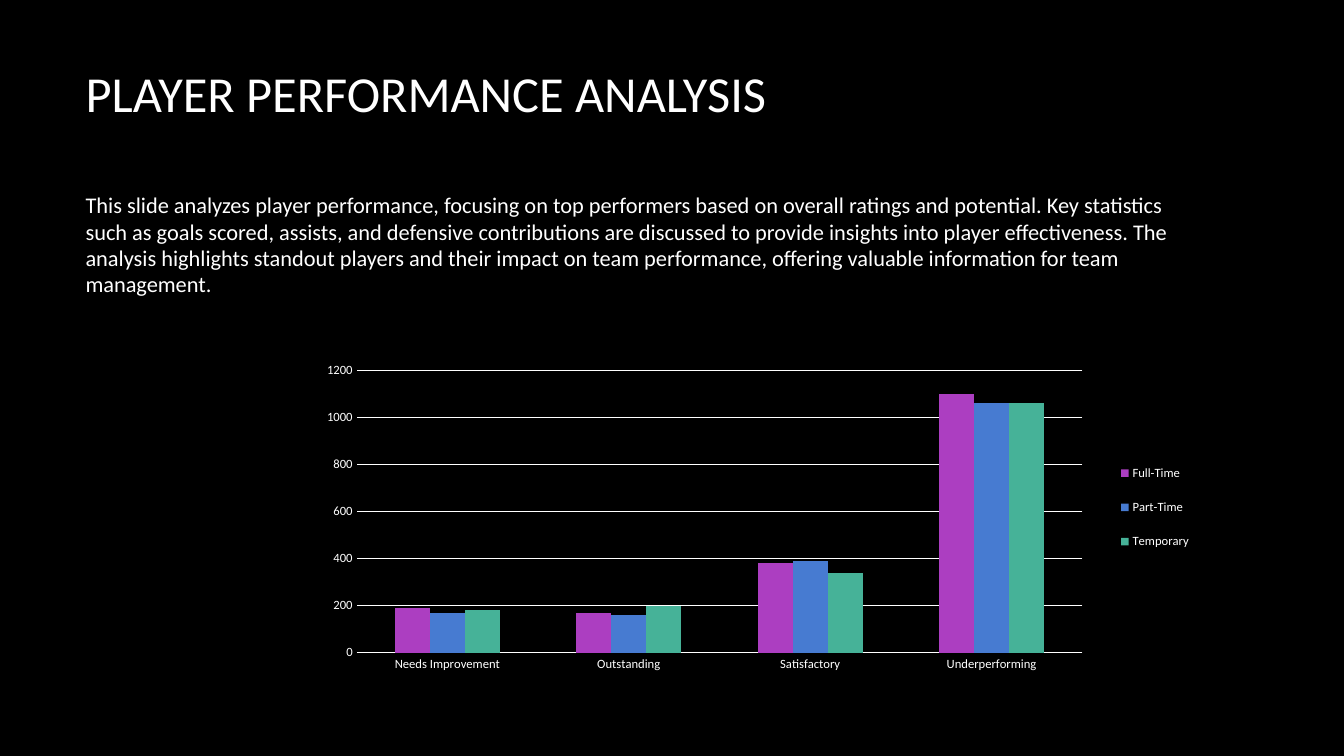
from dataclasses import dataclass

from lxml import etree
from pptx import Presentation
from pptx.chart.data import CategoryChartData
from pptx.dml.color import RGBColor
from pptx.enum.chart import XL_CHART_TYPE, XL_LEGEND_POSITION, XL_TICK_MARK
from pptx.enum.text import MSO_ANCHOR, PP_ALIGN
from pptx.oxml.ns import qn
from pptx.util import Inches, Pt

COLUMNS = XL_CHART_TYPE.COLUMN_CLUSTERED
LEGEND_RIGHT = XL_LEGEND_POSITION.RIGHT
NO_TICK = XL_TICK_MARK.NONE
MIDDLE = MSO_ANCHOR.MIDDLE
LEFT = PP_ALIGN.LEFT
TITLE_ONLY = 5


@dataclass(frozen=True)
class Theme:
    font: str = "Calibri"
    background: str = "000000"
    ink: str = "FFFFFF"
    series: tuple = ("AC3EC1", "477BD1", "46B298")
    title_size: float = 36
    body_size: float = 16
    chart_size: float = 9
    line_width: float = 0.75


THEME = Theme()
TITLE = "PLAYER PERFORMANCE ANALYSIS"
SUMMARY = (
    "This slide analyzes player performance, focusing on top performers based on "
    "overall ratings and potential. Key statistics such as goals scored, assists, "
    "and defensive contributions are discussed to provide insights into player "
    "effectiveness. The analysis highlights standout players and their impact on "
    "team performance, offering valuable information for team management."
)
RATINGS = ("Needs Improvement", "Outstanding", "Satisfactory", "Underperforming")
PLAYERS = {
    "Full-Time": (190, 170, 380, 1100),
    "Part-Time": (170, 160, 390, 1060),
    "Temporary": (180, 200, 340, 1060),
}


def inches(box):
    return [Inches(length) for length in box]


def style_font(font, size):
    font.name = THEME.font
    font.size = Pt(size)
    font.color.rgb = RGBColor.from_string(THEME.ink)


def style_line(line):
    line.width = Pt(THEME.line_width)
    line.color.rgb = RGBColor.from_string(THEME.ink)


def write_text(shape, text, size):
    frame = shape.text_frame
    frame.word_wrap = True
    frame.vertical_anchor = MIDDLE
    frame.text = text
    para = frame.paragraphs[0]
    para.alignment = LEFT
    style_font(para.runs[0].font, size)
    return para


def place_title(page, box):
    title = page.shapes.title
    title.left, title.top, title.width, title.height = inches(box)
    write_text(title, TITLE, THEME.title_size)


def place_summary(page, box):
    summary = page.shapes.add_textbox(*inches(box))
    para = write_text(summary, SUMMARY, THEME.body_size)
    para.line_spacing = 0.98
    para.space_after = Pt(10)


def manual_layout(shares, inner=False):
    layout = etree.Element(qn("c:layout"))
    manual = etree.SubElement(layout, qn("c:manualLayout"))
    settings = {"layoutTarget": "inner"} if inner else {}
    settings.update(xMode="edge", yMode="edge")
    settings.update(zip("xywh", shares))
    for name, value in settings.items():
        etree.SubElement(manual, qn(f"c:{name}")).set("val", str(value))
    return layout


def style_axes(chart):
    for axis in (chart.category_axis, chart.value_axis):
        axis.major_tick_mark = axis.minor_tick_mark = NO_TICK
        style_font(axis.tick_labels.font, THEME.chart_size)
    style_line(chart.category_axis.format.line)
    values = chart.value_axis
    values.minimum_scale, values.maximum_scale, values.major_unit = 0, 1200, 200
    values.format.line.fill.background()
    style_line(values.major_gridlines.format.line)


def place_legend(chart):
    chart.has_legend = True
    legend = chart.legend
    legend.position = LEGEND_RIGHT
    legend.include_in_layout = False
    style_font(legend.font, THEME.chart_size)
    element = chart.element.find(".//" + qn("c:legend"))
    for layout in element.findall(qn("c:layout")):
        element.remove(layout)
    element.find(qn("c:overlay")).addprevious(manual_layout((0.89, 0.34, 0.1, 0.3)))


def place_chart(page, box):
    chart_data = CategoryChartData()
    chart_data.categories = RATINGS
    for name, counts in PLAYERS.items():
        chart_data.add_series(name, counts)
    chart = page.shapes.add_chart(COLUMNS, *inches(box), chart_data).chart
    chart.has_title = False
    style_font(chart.font, THEME.chart_size)
    plot = chart.plots[0]
    plot.gap_width = 219
    plot.overlap = 0
    plot.vary_by_categories = False
    for series, color in zip(plot.series, THEME.series):
        series.format.fill.solid()
        series.format.fill.fore_color.rgb = RGBColor.from_string(color)
    style_axes(chart)
    place_legend(chart)
    area = chart.element.find(".//" + qn("c:plotArea"))
    for layout in area.findall(qn("c:layout")):
        area.remove(layout)
    area.insert(0, manual_layout((0.083, 0.154, 0.779, 0.692), inner=True))


def build_analysis(deck):
    page = deck.slides.add_slide(deck.slide_layouts[TITLE_ONLY])
    fill = page.background.fill
    fill.solid()
    fill.fore_color.rgb = RGBColor.from_string(THEME.background)
    margin, width = 0.75, 11.08
    place_title(page, (margin, 0.18, width, 1.48))
    place_summary(page, (margin, 1.5, width, 1.87))
    place_chart(page, (2.77, 3.05, 9.24, 4.05))


def main():
    deck = Presentation()
    deck.slide_width, deck.slide_height = Inches(13.33), Inches(7.5)
    build_analysis(deck)
    deck.save("out.pptx")


if __name__ == "__main__":
    main()
